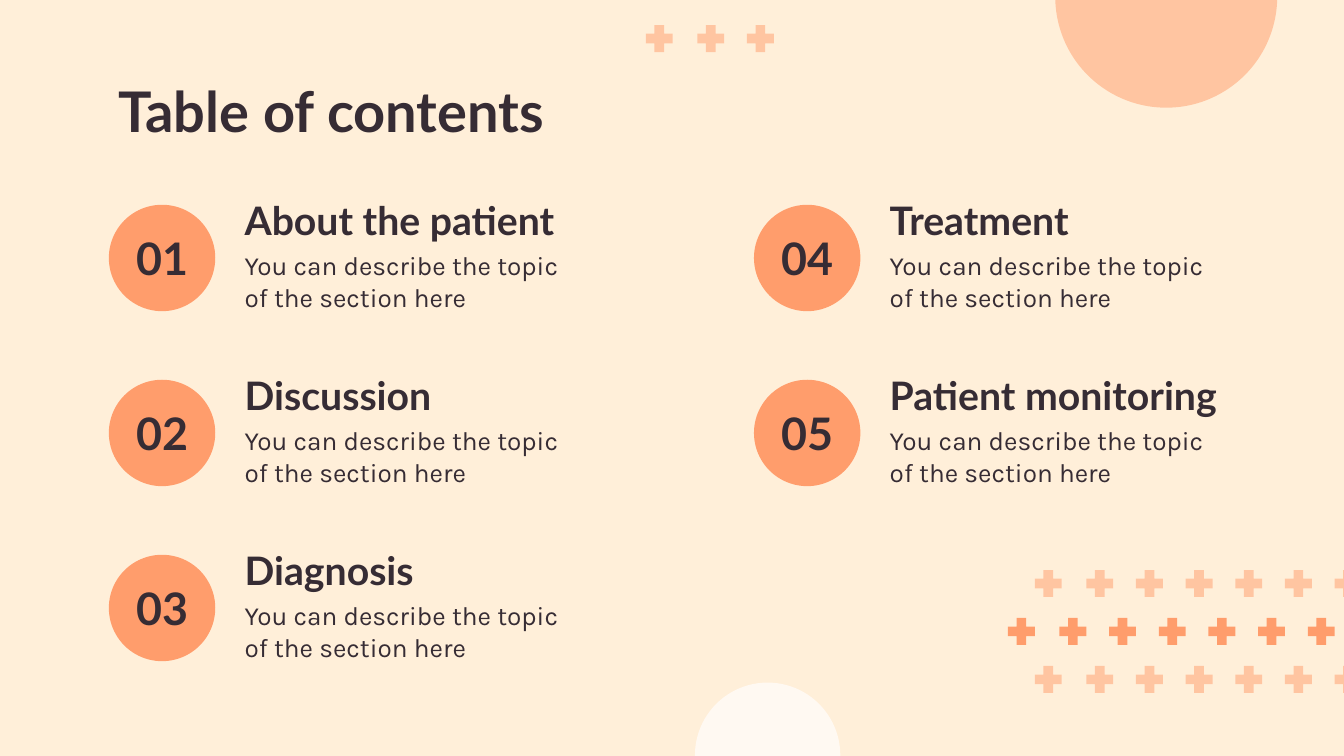
from pptx import Presentation
from pptx.dml.color import RGBColor
from pptx.enum.shapes import MSO_SHAPE
from pptx.enum.text import MSO_ANCHOR, PP_ALIGN
from pptx.oxml.xmlchemy import OxmlElement
from pptx.util import Pt

OVAL, CROSS = MSO_SHAPE.OVAL, MSO_SHAPE.CROSS
TOP, MIDDLE = MSO_ANCHOR.TOP, MSO_ANCHOR.MIDDLE
LEFT, CENTER = PP_ALIGN.LEFT, PP_ALIGN.CENTER

COLORS = {"cream": "FFEFD9", "orange": "FF9D6C", "white": "FFFFFF", "ink": "362C34"}


def add_solid(kind, x, y, size, color, opacity=100):
    """Add a square-framed shape without outline; opacity is in percent."""
    sp = s.shapes.add_shape(kind, Pt(x), Pt(y), Pt(size), Pt(size))
    sp.shadow.inherit = False
    sp.line.fill.background()
    sp.fill.solid()
    sp.fill.fore_color.rgb = RGBColor.from_string(COLORS[color])
    if opacity < 100:
        alpha = OxmlElement("a:alpha")
        alpha.set("val", str(opacity * 1000))
        sp.fill._xPr.solidFill[0].append(alpha)
    return sp


def add_text(text, x, y, w, h, size, font="Lato", bold=True, align=LEFT, anchor=TOP):
    tf = s.shapes.add_textbox(Pt(x), Pt(y), Pt(w), Pt(h)).text_frame
    tf.word_wrap = True
    tf.vertical_anchor = anchor
    tf.margin_left = tf.margin_right = tf.margin_top = tf.margin_bottom = Pt(7.2)
    tf.text = text
    p = tf.paragraphs[0]
    p.alignment = align
    f = p.runs[0].font
    f.name, f.size, f.bold = font, Pt(size), bold
    f.color.rgb = RGBColor.from_string(COLORS["ink"])


prs = Presentation()
prs.slide_width, prs.slide_height = Pt(720), Pt(405)
s = prs.slides.add_slide(prs.slide_layouts[6])
s.background.fill.solid()
s.background.fill.fore_color.rgb = RGBColor.from_string(COLORS["cream"])

# Rows of plus signs: left, top, count, opacity
plus_rows = [
    (554.4, 305.4, 7, 51),
    (540, 331.1, 7, 100),
    (554.4, 356.8, 7, 51),
    (346, 13.5, 3, 51),
]
for left, top, count, opacity in plus_rows:
    for i in range(count):
        x = left + 26.6 * i + (1 if i else 0)  # the first gap is 1 pt wider
        sp = add_solid(CROSS, x, top, 14.4, "orange", opacity)
        sp.adjustments[0] = 0.32

# Large circles running off the edges
add_solid(OVAL, 565.3, -61.2, 118.9, "orange", 51)
add_solid(OVAL, 372.3, 365.7, 77.9, "white", 66)

add_text("Table of contents", 56.2, 33.8, 607.6, 36.7, 30)

# Sections fill the left column, then the right one
sections = ["About the patient", "Discussion", "Diagnosis", "Treatment", "Patient monitoring"]
for i, name in enumerate(sections):
    col, row = divmod(i, 3)
    x, y = 58.3 + 345.6 * col, 109.7 + 93.75 * row
    add_solid(OVAL, x, y, 57, "orange")
    add_text(f"{i + 1:02}", x - 2.1, y + 9.8, 61.2, 37.4, 24, align=CENTER, anchor=MIDDLE)
    add_text(name, x + 65.7, y - 11.8, 194.4, 30.2, 21)
    add_text("You can describe the topic of the section here",
             x + 65.7, y + 16.9, 194.4, 48.2, 14, font="Karla", bold=False)

prs.save("out.pptx")
